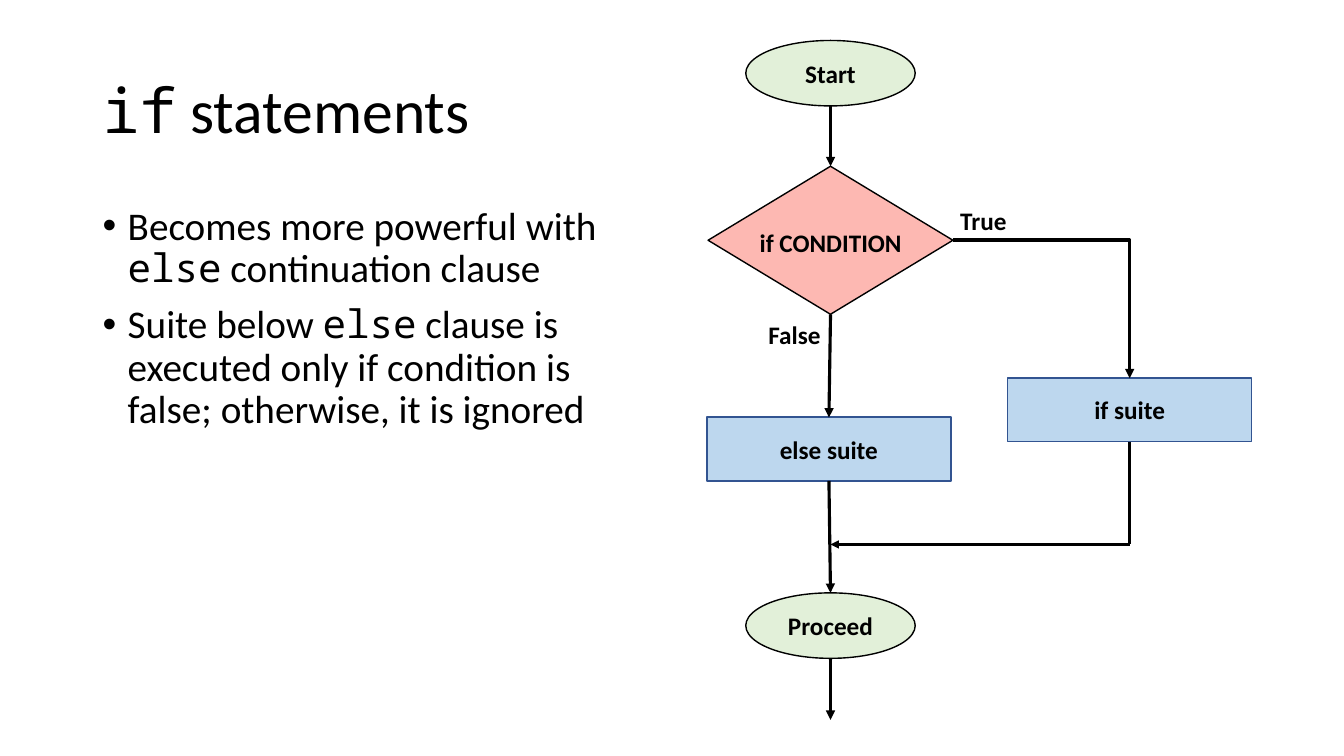
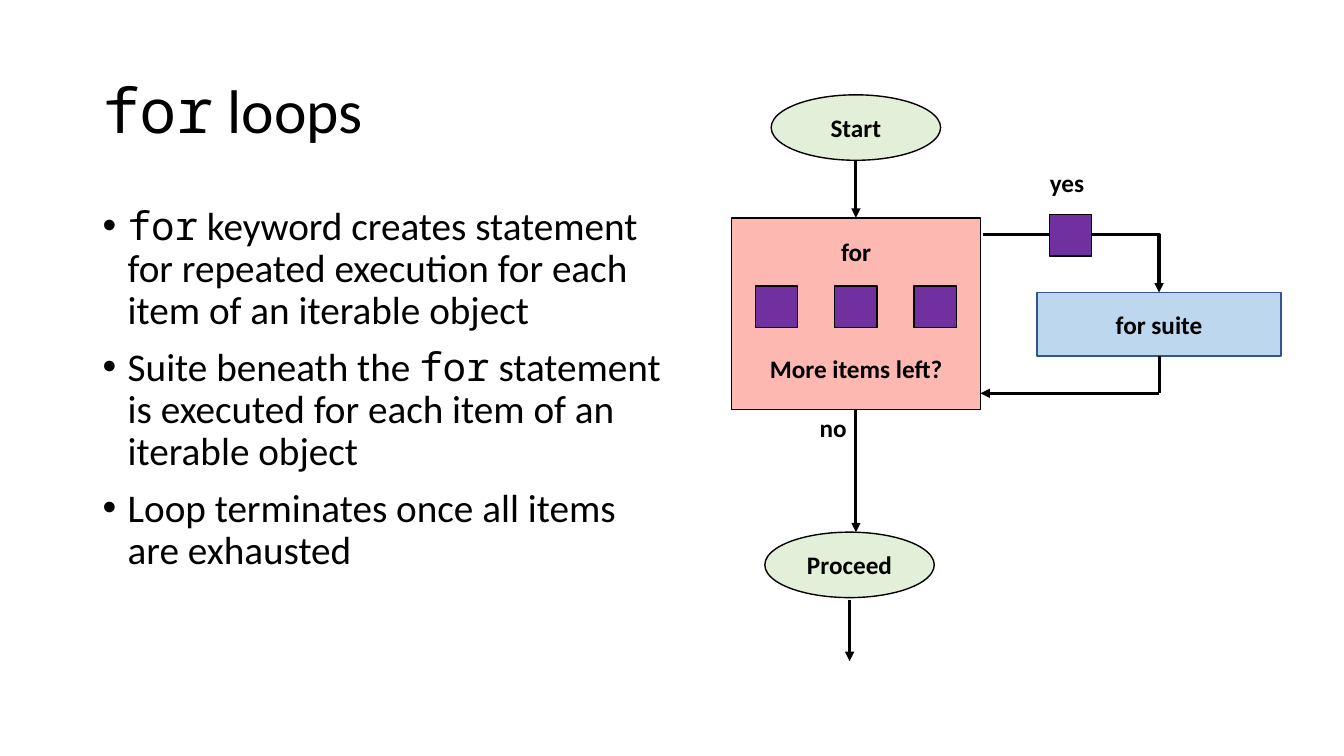
"""Build two flowchart slides on Python if statements and for loops."""
import lxml.etree
import pptx
import pptx.dml.color
import pptx.enum.shapes
import pptx.enum.text
import pptx.oxml.ns
import pptx.util

Cm = pptx.util.Cm
Pt = pptx.util.Pt
qn = pptx.oxml.ns.qn
ALIGN = pptx.enum.text.PP_ALIGN
ANCHOR = pptx.enum.text.MSO_ANCHOR
SHAPE = pptx.enum.shapes.MSO_SHAPE
CONNECTOR = pptx.enum.shapes.MSO_CONNECTOR

COLORS = {
    "ink": "000000",
    "terminal": "E2F0D9",
    "decision": "FC7267",
    "suite": "BDD7EE",
    "suite_edge": "325491",
    "item": "7030A0",
}
TOP, BOTTOM, RIGHT = 0, 2, 3


def rgb(name):
    return pptx.dml.color.RGBColor.from_string(COLORS[name])


def write_text(paragraph, text, size=18, bold=False, align=ALIGN.LEFT, spacing=None, before=None):
    paragraph.alignment = align
    paragraph.line_spacing = spacing
    if before is not None:
        paragraph.space_before = Pt(before)
    for index, part in enumerate(text.split("`")):
        if part:
            run = paragraph.add_run()
            run.text = part
            run.font.name = "Noto Sans Mono" if index % 2 else "Calibri"
            run.font.size = Pt(size)
            run.font.bold = bold
            run.font.color.rgb = rgb("ink")


class FlowDeck:
    terminal_size = (4.27, 1.65)
    suite_size = (6.15, 1.6)
    item_size = (1.07, 1.04)

    def __init__(self):
        self.deck = pptx.Presentation()
        self.deck.slide_width = Cm(33.87)
        self.deck.slide_height = Cm(19.05)
        self.slide = None

    def new_slide(self, heading, points):
        self.slide = self.deck.slides.add_slide(self.deck.slide_layouts[1])
        title, body = self.slide.placeholders
        self.place(title, 2.33, 1.01, 29.21, 3.68, ANCHOR.MIDDLE)
        self.place(body, 2.33, 5.07, 14.6, 12.1, ANCHOR.TOP)
        write_text(title.text_frame.paragraphs[0], heading, size=44, spacing=0.9, before=0)
        for index, point in enumerate(points):
            frame = body.text_frame
            paragraph = frame.add_paragraph() if index else frame.paragraphs[0]
            write_text(paragraph, point, size=28, spacing=0.9, before=10)
            properties = paragraph._p.get_or_add_pPr()
            properties.set("marL", str(Cm(0.635)))
            properties.set("indent", str(-Cm(0.635)))
            lxml.etree.SubElement(properties, qn("a:buChar"), char="•")

    def place(self, holder, left, top, width, height, anchor):
        holder.left, holder.top, holder.width, holder.height = map(Cm, (left, top, width, height))
        holder.text_frame.vertical_anchor = anchor
        holder.text_frame.auto_size = pptx.enum.text.MSO_AUTO_SIZE.NONE

    def node(self, kind, center, top, size, fill, edge="ink", weight=1, text="", opacity=None):
        width, height = size
        shape = self.slide.shapes.add_shape(
            kind, Cm(center - width / 2), Cm(top), Cm(width), Cm(height))
        shape.shadow.inherit = False
        shape.fill.solid()
        shape.fill.fore_color.rgb = rgb(fill)
        shape.line.color.rgb = rgb(edge)
        shape.line.width = Pt(weight)
        if opacity is not None:
            color = shape.element.spPr.find(qn("a:solidFill"))[0]
            lxml.etree.SubElement(color, qn("a:alpha"), val=str(opacity * 1000))
        if text:
            shape.text_frame.vertical_anchor = ANCHOR.MIDDLE
            write_text(shape.text_frame.paragraphs[0], text, bold=True, align=ALIGN.CENTER)
        return shape

    def terminal(self, text, center, top):
        return self.node(SHAPE.OVAL, center, top, self.terminal_size, "terminal", text=text)

    def suite(self, text, center, top, weight=1):
        return self.node(SHAPE.RECTANGLE, center, top, self.suite_size, "suite",
                         edge="suite_edge", weight=weight, text=text)

    def decision(self, kind, center, top, size):
        return self.node(kind, center, top, size, "decision", opacity=50)

    def item(self, center, top):
        return self.node(SHAPE.RECTANGLE, center, top, self.item_size, "item")

    def label(self, text, left, top, width, align=ALIGN.CENTER):
        box = self.slide.shapes.add_textbox(Cm(left), Cm(top), Cm(width), Cm(1.03))
        box.text_frame.word_wrap = True
        write_text(box.text_frame.paragraphs[0], text, bold=True, align=align)

    def link(self, start, end, bent=False, arrow=True, weight=2.25):
        glued = [not isinstance(place[0], (int, float)) for place in (start, end)]
        x1, y1 = (0, 0) if glued[0] else start
        x2, y2 = (0, 0) if glued[1] else end
        kind = CONNECTOR.ELBOW if bent else CONNECTOR.STRAIGHT
        line = self.slide.shapes.add_connector(kind, Cm(x1), Cm(y1), Cm(x2), Cm(y2))
        if glued[0]:
            line.begin_connect(*start)
        if glued[1]:
            line.end_connect(*end)
        line.line.color.rgb = rgb("ink")
        line.line.width = Pt(weight)
        properties = line.element.spPr
        if bent:
            properties.find(qn("a:prstGeom")).set("prst", "bentConnector2")
        if arrow:
            lxml.etree.SubElement(properties.find(qn("a:ln")), qn("a:tailEnd"), type="triangle")
        lxml.etree.SubElement(properties, qn("a:effectLst"))


def build_if_slide(flow):
    flow.new_slide("`if` statements", [
        "Becomes more powerful with `else` continuation clause",
        "Suite below `else` clause is executed only if condition is false; otherwise, it is ignored",
    ])
    axis, branch, merge = 20.93, 28.47, 13.72
    flow.terminal("Start", axis, 1.02)
    condition = flow.decision(SHAPE.DIAMOND, axis, 4.19, (6.17, 3.73))
    if_suite = flow.suite("if suite", branch, 9.53)
    else_suite = flow.suite("else suite", axis - 0.04, 10.52, weight=1.5)
    proceed = flow.terminal("Proceed", axis, 14.94)
    flow.link((axis, 2.67), (condition, TOP))
    flow.link((condition, BOTTOM), (else_suite, TOP))
    flow.link((24.01, 6.05), (branch, 9.53), bent=True)
    flow.link((if_suite, BOTTOM), (branch, merge), arrow=False)
    flow.link((branch, merge), (axis, merge), weight=1.5)
    flow.link((else_suite, BOTTOM), (proceed, TOP))
    flow.link((axis, 16.59), (axis, 18.14))
    flow.label("if CONDITION", 18.8, 5.6, 4.27)
    flow.label("True", 23.95, 5.04, 4.37, ALIGN.LEFT)
    flow.label("False", 18.08, 7.93, 2.85, ALIGN.RIGHT)


def build_for_slide(flow):
    flow.new_slide("`for` loops", [
        "`for` keyword creates statement for repeated execution for each item of an iterable object",
        "Suite beneath the `for` statement is executed for each item of an iterable object",
        "Loop terminates once all items are exhausted",
    ])
    axis, branch, back, end_axis = 21.57, 29.21, 9.91, 21.41
    flow.terminal("Start", axis, 2.39)
    iterable = flow.decision(SHAPE.RECTANGLE, axis, 5.49, (6.27, 4.83))
    for_suite = flow.suite("for suite", branch, 7.37)
    flow.terminal("Proceed", end_axis, 13.41)
    flow.link((axis, 4.04), (iterable, TOP))
    flow.link((iterable, BOTTOM), (axis, 13.41))
    flow.link((24.77, 5.92), (branch, 7.37), bent=True)
    flow.link((for_suite, BOTTOM), (branch, back), arrow=False)
    flow.link((branch, back), (24.71, back))
    flow.link((end_axis, 15.11), (end_axis, 16.66))
    for offset in (-2, 0, 2):
        flow.item(axis + offset, 7.21)
    flow.item(26.98, 5.41)
    flow.label("for", 18.44, 5.84, 6.27)
    flow.label("More items left?", 18.44, 8.79, 6.27)
    flow.label("yes", 24.77, 4.09, 4.24)
    flow.label("no", 18.44, 10.26, 3.15, ALIGN.RIGHT)


def main():
    flow = FlowDeck()
    build_if_slide(flow)
    build_for_slide(flow)
    flow.deck.save("out.pptx")


if __name__ == "__main__":
    main()
